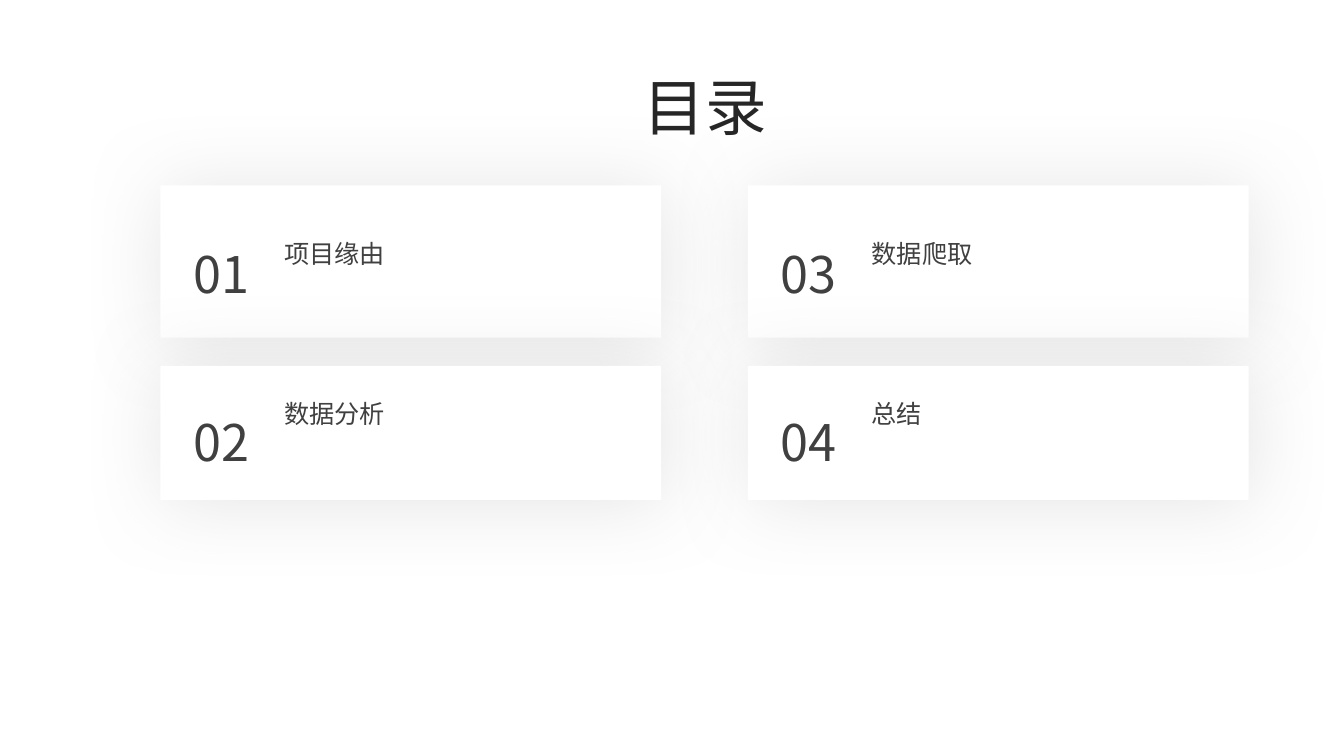
from lxml.etree import SubElement
from pptx import Presentation
from pptx.dml.color import RGBColor
from pptx.enum.shapes import MSO_SHAPE
from pptx.enum.text import MSO_AUTO_SIZE, PP_ALIGN
from pptx.oxml.ns import qn
from pptx.util import Cm, Pt

WHITE = RGBColor(0xFF, 0xFF, 0xFF)
INK = RGBColor(0x26, 0x26, 0x26)
GREY = RGBColor(0x40, 0x40, 0x40)
SHADOW = RGBColor(0xBF, 0xBF, 0xBF)
FONT = "Noto Sans CJK SC"

TITLE = {"size": Pt(44), "color": INK, "align": PP_ALIGN.CENTER}
NUMBER = {"size": Pt(36), "color": GREY, "align": PP_ALIGN.RIGHT}
LABEL = {"size": Pt(18), "color": GREY, "align": PP_ALIGN.LEFT}
FRAME = {"word_wrap": True, "auto_size": MSO_AUTO_SIZE.SHAPE_TO_FIT_TEXT}

COLUMNS = [4.04, 18.85]
ROWS = [
    {"top": 4.67, "height": 3.84, "number": 5.99, "label": 5.87},
    {"top": 9.22, "height": 3.38, "number": 10.24, "label": 9.91},
]
TOPICS = ["项目缘由", "数据分析", "数据爬取", "总结"]


class SlideBuilder:
    def __init__(self, slide, font):
        self.slide = slide
        self.font = font

    def text(self, shapes, text, box, style):
        tf = shapes.add_textbox(*map(Cm, box)).text_frame
        for name, value in FRAME.items():
            setattr(tf, name, value)
        p = tf.paragraphs[0]
        p.alignment = style["align"]
        r = p.add_run()
        r.text = text
        for name, value in {"size": style["size"], "name": self.font}.items():
            setattr(r.font, name, value)
        r.font.color.rgb = style["color"]
        SubElement(r.font._element, qn("a:ea"), typeface=self.font)

    def panel(self, shapes, box):
        sp = shapes.add_shape(MSO_SHAPE.RECTANGLE, *map(Cm, box))
        sp.fill.solid()
        sp.fill.fore_color.rgb = WHITE
        sp.line.fill.background()
        sp.shadow.inherit = False
        effects = sp._element.spPr.find(qn("a:effectLst"))
        shadow = SubElement(effects, qn("a:outerShdw"), blurRad=str(Pt(57)),
                            dist=str(Pt(3)), dir=str(45 * 60000),
                            algn="tl", rotWithShape="0")
        color = SubElement(shadow, qn("a:srgbClr"), val=str(SHADOW))
        SubElement(color, qn("a:alpha"), val="40000")

    def card(self, left, row, number, topic):
        shapes = self.slide.shapes.add_group_shape().shapes
        self.panel(shapes, (left, row["top"], 12.62, row["height"]))
        self.text(shapes, number, (left, row["number"], 2.49, 1.8), NUMBER)
        self.text(shapes, topic, (left + 2.87, row["label"], 9.12, 1.02), LABEL)


def main():
    prs = Presentation()
    prs.slide_width, prs.slide_height = Cm(33.87), Cm(19.05)
    s = prs.slides.add_slide(prs.slide_layouts[6])
    builder = SlideBuilder(s, FONT)
    builder.text(s.shapes, "目录", (14.96, 1.6, 5.64, 2.13), TITLE)
    for i, topic in enumerate(TOPICS):
        column, row = divmod(i, len(ROWS))
        builder.card(COLUMNS[column], ROWS[row], f"{i + 1:02}", topic)
    prs.save("out.pptx")


if __name__ == "__main__":
    main()
